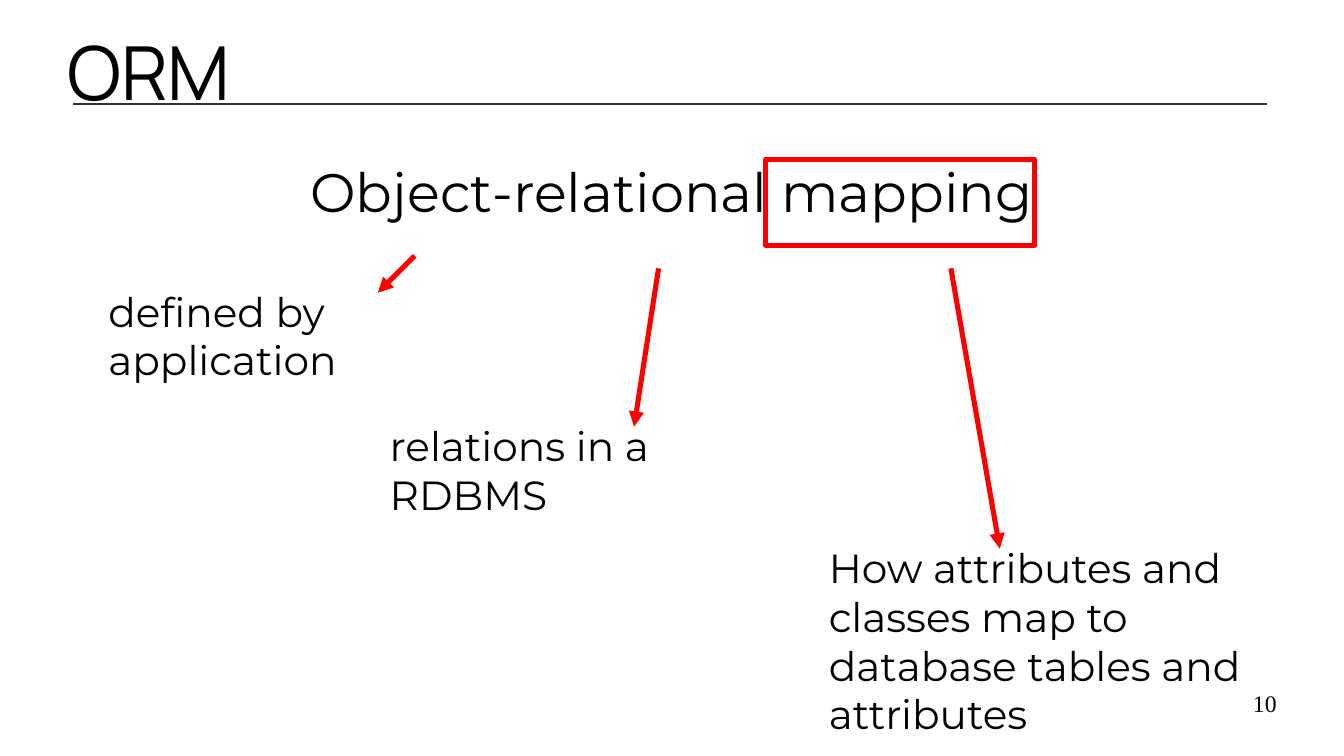
from lxml.etree import SubElement
from pptx import Presentation
from pptx.dml.color import RGBColor
from pptx.enum.shapes import MSO_CONNECTOR as CONNECTOR, MSO_SHAPE as SHAPE
from pptx.enum.text import MSO_ANCHOR as ANCHOR, MSO_AUTO_SIZE as AUTO_SIZE, PP_ALIGN as ALIGN
from pptx.oxml.ns import qn
from pptx.util import Cm, Pt

COLORS = {"text": "000000", "rule": "333333", "accent": "FF0000"}

# Each explanation: text, its box, and the arrow's start and end (cm)
EXPLANATIONS = [
    ("defined by application", (2.01, 5.84, 9.9, 1.52), (8.64, 5.33), (7.87, 6.1)),
    ("relations in a RDBMS", (7.87, 8.64, 9.3, 1.3), (13.72, 5.59), (13.21, 8.89)),
    ("How attributes and classes map to database tables and attributes",
     (17.02, 11.18, 9.45, 4.39), (19.81, 5.59), (20.83, 11.43)),
]


def color(name):
    return RGBColor.from_string(COLORS[name])


def place(shape, box):
    shape.left, shape.top, shape.width, shape.height = (Cm(length) for length in box)


def write(shape, text, font="Montserrat", size=24, align=ALIGN.LEFT,
          anchor=ANCHOR.TOP, margins=(0, 0), bullet=True):
    """Fill a shape with one formatted paragraph; margins are side and top/bottom."""
    frame = shape.text_frame
    frame.word_wrap = True
    frame.auto_size = AUTO_SIZE.NONE
    frame.vertical_anchor = anchor
    frame.margin_left = frame.margin_right = Cm(margins[0])
    frame.margin_top = frame.margin_bottom = Cm(margins[1])
    paragraph = frame.paragraphs[0]
    paragraph.text = text
    paragraph.alignment = align
    paragraph.space_before = Pt(0)
    if not bullet:
        properties = paragraph._p.get_or_add_pPr()
        properties.set("marL", "0")
        properties.set("indent", "0")
        SubElement(properties, qn("a:buNone"))
    paragraph.font.name = font
    paragraph.font.size = Pt(size)
    paragraph.font.color.rgb = color("text")


def add_line(slide, start, end, line_color, width, arrow=False):
    points = [Cm(length) for length in (*start, *end)]
    line = slide.shapes.add_connector(CONNECTOR.STRAIGHT, *points)
    line.line.color.rgb = color(line_color)
    line.line.width = Pt(width)
    if arrow:
        SubElement(line.line._get_or_add_ln(), qn("a:tailEnd"), type="triangle")
    SubElement(line._element.spPr, qn("a:effectLst"))


def add_heading(slide, box):
    left, top, width, height = box
    rule_y = top + 1.75
    add_line(slide, (left + 0.12, rule_y), (left + width - 0.2, rule_y), "rule", 1)
    title = slide.shapes.title
    place(title, box)
    write(title, "ORM", font="Manrope", size=44, anchor=ANCHOR.MIDDLE)


def add_term(slide, box):
    left, top, _, _ = box
    term = slide.placeholders[1]
    place(term, box)
    write(term, "Object-relational mapping", size=32, align=ALIGN.CENTER, bullet=False)
    # Frame around the word "mapping"
    frame_box = (left + 14.55, top + 0.03, 5.61, 1.78)
    highlight = slide.shapes.add_shape(SHAPE.RECTANGLE, *(Cm(n) for n in frame_box))
    highlight.shadow.inherit = False
    highlight.fill.background()
    highlight.line.color.rgb = color("accent")
    highlight.line.width = Pt(3)


def add_text(slide, box, text, **text_format):
    write(slide.shapes.add_textbox(*(Cm(n) for n in box)), text, **text_format)


def main():
    deck = Presentation()
    deck.slide_width, deck.slide_height = Cm(28), Cm(15.75)
    slide = deck.slides.add_slide(deck.slide_layouts[1])

    add_heading(slide, (1.4, 0.41, 25.2, 2.11))
    add_term(slide, (1.4, 3.3, 25.2, 10.41))
    # Explanations with the arrows that lead to them
    for text, box, start, end in EXPLANATIONS:
        add_text(slide, box, text, margins=(0.25, 0.13))
        add_line(slide, start, end, "accent", 3, arrow=True)
    # Page number
    add_text(slide, (20.07, 14.35, 6.53, 1.09), "10",
             font="Times New Roman", size=14, align=ALIGN.RIGHT)

    deck.save("out.pptx")


if __name__ == "__main__":
    main()
